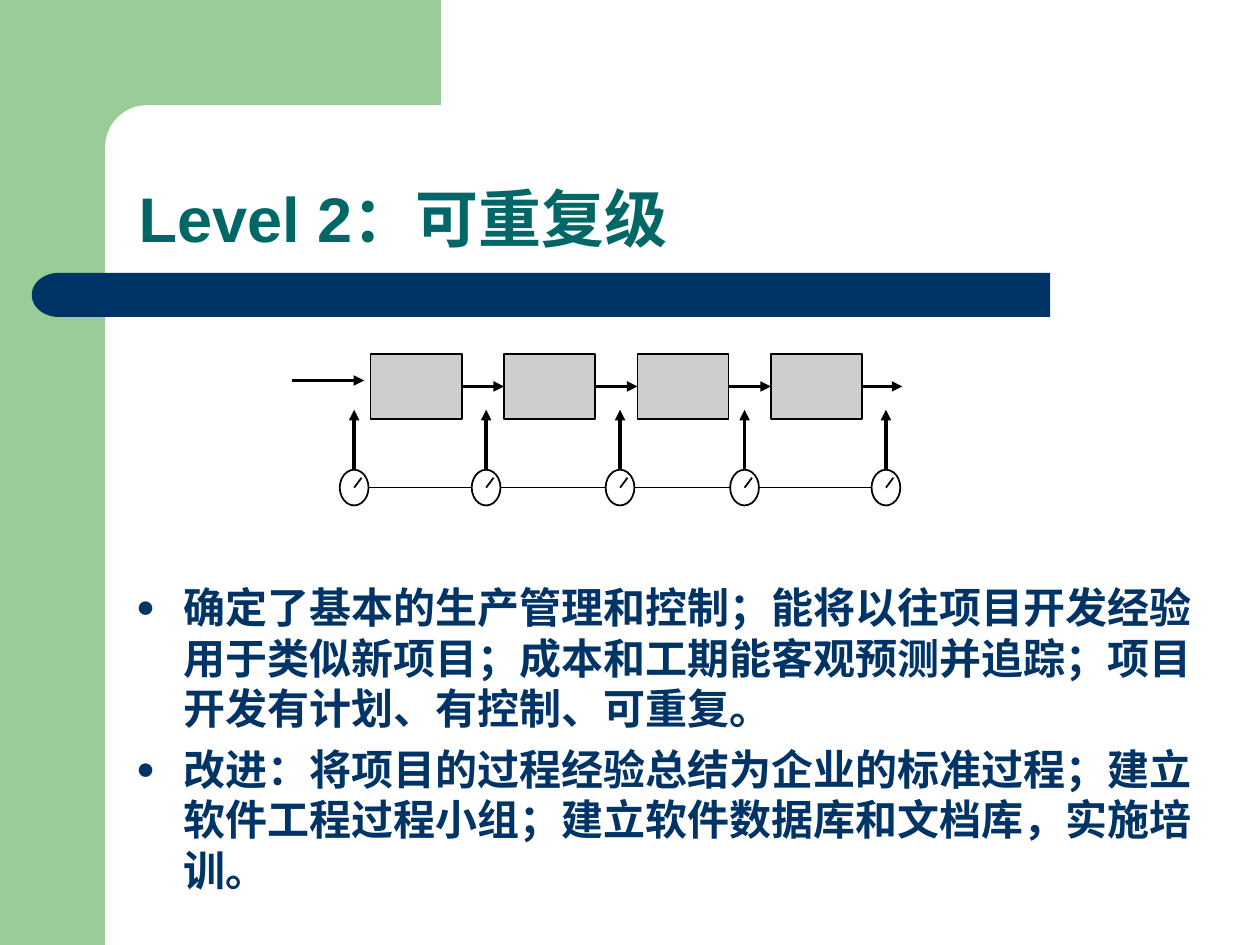
from lxml.etree import SubElement
from pptx import Presentation
from pptx.dml.color import RGBColor
from pptx.enum.shapes import MSO_CONNECTOR, MSO_SHAPE
from pptx.enum.text import MSO_ANCHOR, MSO_AUTO_SIZE, PP_ALIGN
from pptx.oxml.ns import qn
from pptx.util import Cm, Pt

THEME = {
    "green": RGBColor(0x99, 0xCC, 0x99),
    "navy": RGBColor(0x00, 0x33, 0x66),
    "teal": RGBColor(0x00, 0x66, 0x66),
    "grey": RGBColor(0xCE, 0xCE, 0xCE),
    "white": RGBColor(0xFF, 0xFF, 0xFF),
    "black": RGBColor(0, 0, 0),
    "title": Pt(36),
    "body": Pt(24),
    "thin": Pt(1),
    "thick": Pt(2),
    "latin": "Arial",
    "cjk": "Noto Sans CJK SC",
}

prs = Presentation()
prs.slide_width, prs.slide_height = Cm(25.4), Cm(19.05)
s = prs.slides.add_slide(prs.slide_layouts[1])


def add_block(kind, box, fill, outlined=False):
    sp = s.shapes.add_shape(kind, *map(Cm, box))
    sp.shadow.inherit = False
    sp.fill.solid()
    sp.fill.fore_color.rgb = THEME[fill]
    if outlined:
        sp.line.color.rgb = THEME["black"]
        sp.line.width = THEME["thin"]
    else:
        sp.line.fill.background()
    return sp


def add_line(x1, y1, x2, y2, width="thin", arrow=False):
    cn = s.shapes.add_connector(MSO_CONNECTOR.STRAIGHT, *map(Cm, (x1, y1, x2, y2)))
    cn.line.color.rgb = THEME["black"]
    cn.line.width = THEME[width]
    if arrow:
        SubElement(cn.line._get_or_add_ln(), qn("a:tailEnd"), type="triangle")
    SubElement(cn._element.spPr, qn("a:effectLst"))
    return cn


add_block(MSO_SHAPE.RECTANGLE, (0, 0, 2.12, 19.05), "green")
add_block(MSO_SHAPE.RECTANGLE, (1.9, 0, 6.99, 2.96), "green")
panel = add_block(MSO_SHAPE.ROUNDED_RECTANGLE, (2.12, 2.12, 14.18, 1.7), "white")
panel.adjustments[0] = 0.5
add_block(MSO_SHAPE.RECTANGLE, (1.7, 5.5, 19.47, 0.89), "navy")
cap = add_block(MSO_SHAPE.FLOWCHART_DELAY, (0.64, 5.5, 1.09, 0.89), "navy")
cap.rotation = 180

bullets = [
    "确定了基本的生产管理和控制；能将以往项目开发经验用于类似新项目；成本和工期能客观预测并追踪；项目开发有计划、有控制、可重复。",
    "改进：将项目的过程经验总结为企业的标准过程；建立软件工程过程小组；建立软件数据库和文档库，实施培训。",
]
title, body = s.shapes.title, s.placeholders[1]
texts = [
    (title, (2.54, 2.12, 22.23, 3.18), ["Level 2：可重复级"], MSO_ANCHOR.BOTTOM,
     {"alignment": PP_ALIGN.LEFT, "line_spacing": 0.9},
     {"size": THEME["title"], "name": THEME["latin"], "bold": True}, "teal"),
    (body, (2.49, 11.6, 22.23, 6.9), bullets, MSO_ANCHOR.TOP,
     {"alignment": PP_ALIGN.LEFT, "space_before": Pt(6)},
     {"size": THEME["body"], "name": THEME["cjk"], "bold": True}, "navy"),
]
for sp, box, lines, anchor, para_format, font_format, color in texts:
    s.shapes._spTree.append(sp._element)
    sp.left, sp.top, sp.width, sp.height = map(Cm, box)
    tf = sp.text_frame
    tf.text = "\n".join(lines)
    for name, value in {"word_wrap": True, "auto_size": MSO_AUTO_SIZE.NONE,
                        "vertical_anchor": anchor}.items():
        setattr(tf, name, value)
    for p in tf.paragraphs:
        for name, value in para_format.items():
            setattr(p, name, value)
        r = p.runs[0]
        for name, value in font_format.items():
            setattr(r.font, name, value)
        r.font.color.rgb = THEME[color]
        SubElement(r.font._element, qn("a:ea"), typeface=THEME["cjk"])

for p in body.text_frame.paragraphs:
    pPr = p._p.get_or_add_pPr()
    pPr.set("marL", str(Cm(0.95)))
    pPr.set("indent", str(-Cm(0.95)))
    color = SubElement(pPr, qn("a:buClr"))
    SubElement(color, qn("a:srgbClr"), val=str(THEME["navy"]))
    SubElement(pPr, qn("a:buSzPct"), val="75000")
    SubElement(pPr, qn("a:buFont"), typeface=THEME["latin"])
    SubElement(pPr, qn("a:buChar"), char="●")

steps = [add_block(MSO_SHAPE.RECTANGLE, (7.47 + 2.69 * i, 7.13, 1.84, 1.32), "grey", True)
         for i in range(4)]
add_line(5.89, 7.67, 7.34, 7.67, "thick", True)
for left, right in zip(steps, steps[1:]):
    cn = add_line(0, 0, 1, 1, "thick", True)
    cn.begin_connect(left, 3)
    cn.end_connect(right, 1)
cn = add_line(17.38, 7.79, 18.19, 7.79, "thick", True)
cn.begin_connect(steps[-1], 3)
cn.end_y = cn.begin_y

gauge_xs = [7.14, 9.8, 12.5, 15.01, 17.86]
gauge_y = 9.83
add_line(gauge_xs[0], gauge_y, gauge_xs[-1], gauge_y)
for x in gauge_xs:
    add_line(x, gauge_y, x, 8.26, "thick", True)
    add_block(MSO_SHAPE.OVAL, (x - 0.29, gauge_y - 0.36, 0.58, 0.72), "white", True)
    add_line(x, gauge_y, x + 0.15, gauge_y - 0.2)

prs.save("out.pptx")
